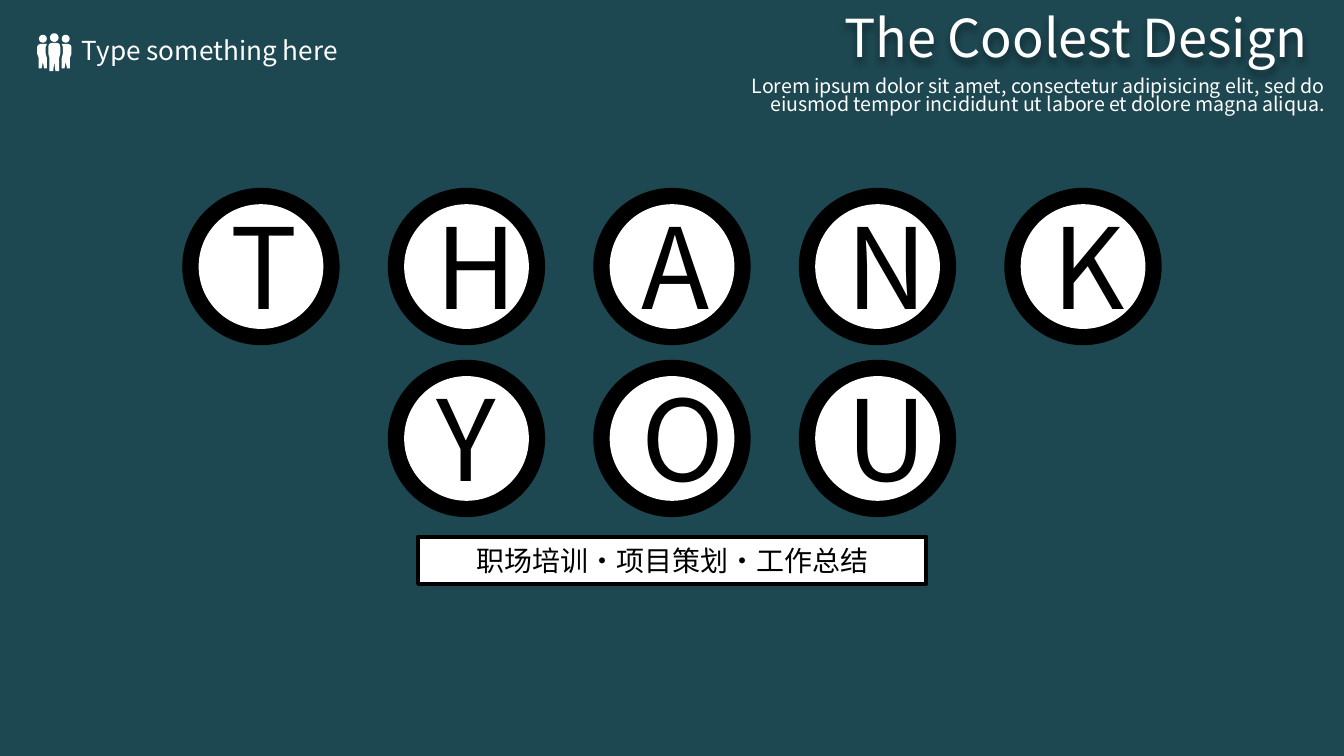
import math
from dataclasses import dataclass

from lxml import etree
from pptx import Presentation
from pptx.dml.color import RGBColor
from pptx.enum.shapes import MSO_SHAPE
from pptx.enum.text import MSO_ANCHOR, MSO_AUTO_SIZE, PP_ALIGN
from pptx.oxml.ns import qn
from pptx.util import Pt

OVAL = MSO_SHAPE.OVAL
RECTANGLE = MSO_SHAPE.RECTANGLE
LEFT, CENTER, RIGHT = PP_ALIGN.LEFT, PP_ALIGN.CENTER, PP_ALIGN.RIGHT
TOP, MIDDLE = MSO_ANCHOR.TOP, MSO_ANCHOR.MIDDLE
NO_AUTOFIT = MSO_AUTO_SIZE.NONE

FONT = "Noto Sans CJK SC"
COLORS = {"background": "1D4751", "black": "000000", "white": "FFFFFF"}

RING_SIZE = 84.3
DISC_SIZE = 66.8
LETTER_PITCH = 110.1
SLIDE_CENTER = 360


@dataclass
class Box:
    left: float
    top: float
    width: float
    height: float

    def lengths(self):
        return Pt(self.left), Pt(self.top), Pt(self.width), Pt(self.height)


@dataclass
class WordRow:
    word: str
    center_y: float


WORD_ROWS = [WordRow("THANK", 142.8), WordRow("YOU", 234.9)]


def color(name: str) -> RGBColor:
    return RGBColor.from_string(COLORS[name])


def write_text(shape, text: str, *, size: float, fill: str = "white", align=LEFT,
               anchor=TOP, spacing: float = 1.0, wrap: bool = True,
               margins=(7.2, 3.6, 7.2, 3.6)) -> None:
    frame = shape.text_frame
    frame.auto_size = NO_AUTOFIT
    frame.word_wrap = wrap
    frame.vertical_anchor = anchor
    (frame.margin_left, frame.margin_top,
     frame.margin_right, frame.margin_bottom) = map(Pt, margins)
    paragraph = frame.paragraphs[0]
    paragraph.alignment = align
    paragraph.line_spacing = spacing
    paragraph.space_before = Pt(0)
    run = paragraph.add_run()
    run.text = text
    run.font.size = Pt(size)
    run.font.name = FONT
    run.font.color.rgb = color(fill)
    east_asian = etree.SubElement(run.font._element, qn("a:ea"))
    east_asian.set("typeface", FONT)


def place(shape, box: Box) -> None:
    shape.left, shape.top, shape.width, shape.height = box.lengths()


def add_filled_shape(slide, kind, box: Box, fill: str):
    shape = slide.shapes.add_shape(kind, *box.lengths())
    shape.shadow.inherit = False
    shape.fill.solid()
    shape.fill.fore_color.rgb = color(fill)
    shape.line.fill.background()
    return shape


def add_circle(slide, center_x: float, center_y: float, size: float, fill: str):
    box = Box(center_x - size / 2, center_y - size / 2, size, size)
    return add_filled_shape(slide, OVAL, box, fill)


def add_word(slide, row: WordRow) -> None:
    for index, letter in enumerate(row.word):
        center_x = SLIDE_CENTER + (index - (len(row.word) - 1) / 2) * LETTER_PITCH
        add_circle(slide, center_x, row.center_y, RING_SIZE, "black")
        disc = add_circle(slide, center_x, row.center_y, DISC_SIZE, "white")
        write_text(disc, letter, size=60, fill="black", align=CENTER, anchor=MIDDLE,
                   spacing=0.95, margins=(7.2, 8.6, 7.2, 3.6))


def add_soft_shadow(shape) -> None:
    effects = etree.SubElement(shape._element.spPr, qn("a:effectLst"))
    shadow = etree.SubElement(effects, qn("a:outerShdw"), blurRad="50800",
                              dist="38100", dir="5400000", algn="t")
    shade = etree.SubElement(shadow, qn("a:srgbClr"), val=COLORS["black"])
    etree.SubElement(shade, qn("a:alpha"), val="40000")


def mirrored(points: list) -> list:
    return [(-x, y) for x, y in points]


def head(center_x: float, center_y: float, radius: float) -> list:
    angles = [math.tau * step / 20 for step in range(20)]
    return [(center_x + radius * math.cos(angle), center_y + radius * math.sin(angle))
            for angle in angles]


def add_people_icon(slide, center_x: float, top: float) -> None:
    half_body = [(0, 15.1), (0.6, 20.2), (2.6, 20.2), (2.6, 13), (3.2, 10.8),
                 (3.2, 7.2), (2.8, 5.6), (1.5, 5)]
    middle_body = half_body + mirrored(half_body)[::-1]
    left_body = [(-4, 13), (-4, 18.7), (-5.5, 18.7), (-6.1, 15.1), (-6.8, 18.7),
                 (-8.4, 18.7), (-8.4, 13), (-9.2, 10.8), (-9.2, 7.2), (-8.7, 6.1),
                 (-7.5, 5.6), (-4, 5.6), (-4.6, 7.2), (-4.6, 10.8)]
    left_head = head(-6.1, 2.8, 2.1)
    contours = [middle_body, head(0, 2.2, 2.3), left_body, left_head,
                mirrored(left_body), mirrored(left_head)]
    outlines = [[(Pt(center_x + x), Pt(top + y)) for x, y in contour]
                for contour in contours]
    builder = slide.shapes.build_freeform(*outlines[0][0], scale=1.0)
    for index, outline in enumerate(outlines):
        if index:
            builder.move_to(*outline[0])
        builder.add_line_segments(outline[1:], close=True)
    icon = builder.convert_to_shape()
    icon.shadow.inherit = False
    icon.fill.solid()
    icon.fill.fore_color.rgb = color("white")
    icon.line.fill.background()


def main() -> None:
    presentation = Presentation()
    presentation.slide_width, presentation.slide_height = Pt(720), Pt(405)
    slide = presentation.slides.add_slide(presentation.slide_layouts[0])
    slide.background.fill.solid()
    slide.background.fill.fore_color.rgb = color("background")

    # Lettered circles
    for row in WORD_ROWS:
        add_word(slide, row)

    # Topic banner
    banner = add_filled_shape(slide, RECTANGLE, Box(224, 287.5, 272.2, 25.3), "white")
    banner.line.color.rgb = color("black")
    banner.line.width = Pt(2.25)
    write_text(banner, "职场培训·项目策划·工作总结", size=15, fill="black",
               align=CENTER, anchor=MIDDLE)

    # Title and description
    title = slide.shapes.title
    place(title, Box(445, 2.9, 289.4, 41))
    write_text(title, "The Coolest Design", size=28, spacing=0.9)
    add_soft_shadow(title)
    description = slide.placeholders[1]
    place(description, Box(354.2, 38.2, 362.9, 32.4))
    write_text(description, "Lorem ipsum dolor sit amet, consectetur adipisicing elit, "
               "sed do eiusmod tempor incididunt ut labore et dolore magna aliqua.",
               size=10.5, align=RIGHT, spacing=0.8)

    # Icon with its label
    label = slide.shapes.add_textbox(*Box(36.7, 16.6, 154.8, 24.5).lengths())
    write_text(label, "Type something here", size=14, spacing=0.9, wrap=False)
    add_people_icon(slide, 29.1, 18)

    presentation.save("out.pptx")


if __name__ == "__main__":
    main()
